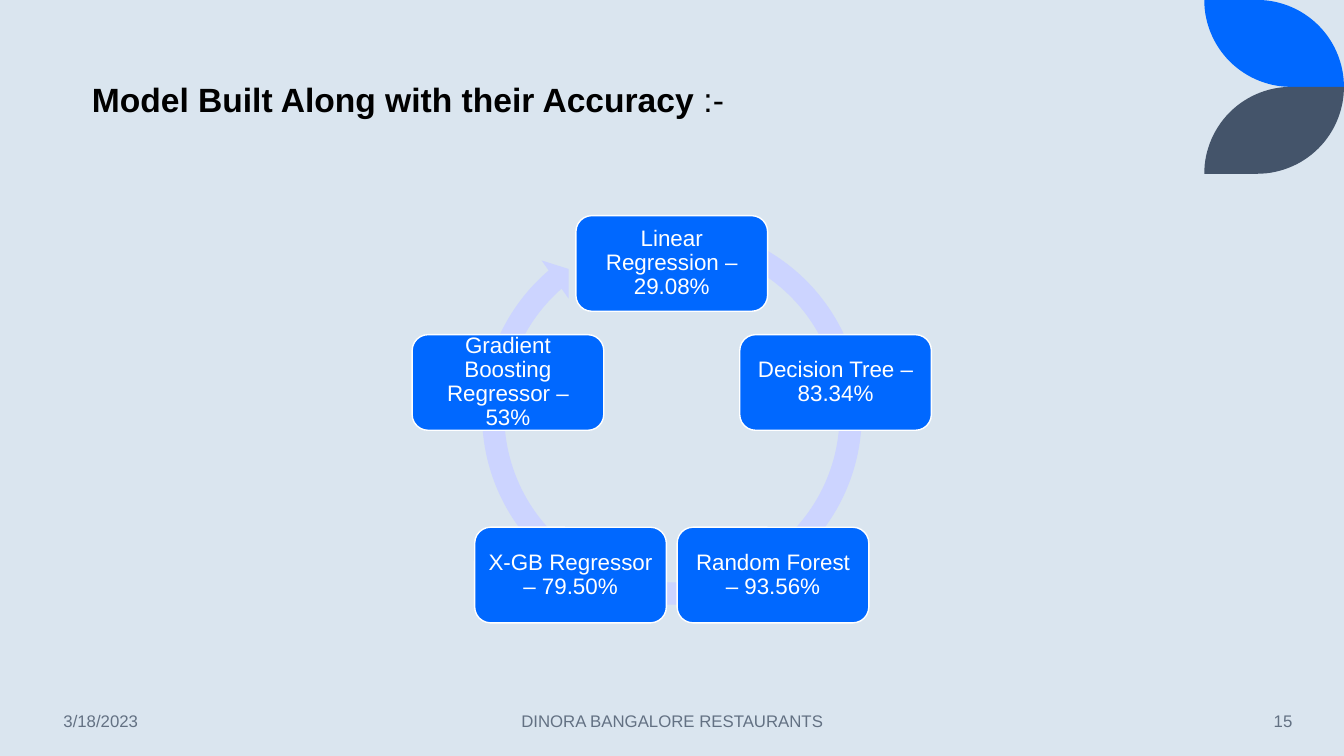
from dataclasses import dataclass
from math import cos, radians, sin

from pptx import Presentation
from pptx.dml.color import RGBColor
from pptx.enum.shapes import MSO_SHAPE as Shape
from pptx.enum.text import MSO_ANCHOR as Anchor, MSO_AUTO_SIZE as AutoSize, PP_ALIGN as Align
from pptx.util import Cm, Pt


@dataclass(frozen=True)
class Theme:
    font: str = "Arial"
    background: str = "DAE5EF"
    blue: str = "0068FF"
    slate: str = "44546A"
    ring: str = "CCD4FF"
    white: str = "FFFFFF"
    black: str = "000000"
    muted: str = "637183"
    title_size: int = 24
    node_size: int = 16
    footer_size: int = 12


theme = Theme()


def write(box, text, *, size, color, bold=False, align=Align.LEFT,
          anchor=Anchor.MIDDLE, spacing=1.0):
    """Append a formatted span to the first paragraph of the box."""
    frame = box.text_frame
    frame.word_wrap = True
    frame.vertical_anchor = anchor
    para = frame.paragraphs[0]
    para.alignment = align
    para.line_spacing = spacing
    span = para.add_run()
    span.text = text
    span.font.name = theme.font
    span.font.size = Pt(size)
    span.font.bold = bold
    span.font.color.rgb = RGBColor.from_string(color)


def paint(shape, color):
    shape.shadow.inherit = False
    shape.fill.solid()
    shape.fill.fore_color.rgb = RGBColor.from_string(color)
    shape.line.fill.background()


deck = Presentation()
deck.slide_width, deck.slide_height = Cm(33.87), Cm(19.05)
page = deck.slides.add_slide(deck.slide_layouts[5])
page.background.fill.solid()
page.background.fill.fore_color.rgb = RGBColor.from_string(theme.background)

# Corner leaves: two quarter circles each, the lower leaf mirroring the upper
radius = 2.19
quarter = range(0, 91, 3)
leaf = [(31.68 + radius * sin(radians(a)), radius - radius * cos(radians(a))) for a in quarter]
leaf += [(32.54 - radius * sin(radians(a)), radius * cos(radians(a))) for a in quarter]
for color, mirrored in ((theme.blue, False), (theme.slate, True)):
    points = [(Cm(x), Cm(2 * radius - y if mirrored else y)) for x, y in leaf]
    builder = page.shapes.build_freeform(*points[0])
    builder.add_line_segments(points[1:], close=True)
    paint(builder.convert_to_shape(), color)

# Cycle: a circular arrow behind five nodes on a regular pentagon
ring = page.shapes.add_shape(Shape.CIRCULAR_ARROW, Cm(11.84), Cm(5.36), Cm(10.19), Cm(10.19))
for index, value in enumerate((0.055, 3.307, 137.511, 174.011, 0.058)):
    ring.adjustments[index] = value
paint(ring, theme.ring)

models = (
    "Linear Regression – 29.08%",
    "Decision Tree – 83.34%",
    "Random Forest – 93.56%",
    "X-GB Regressor – 79.50%",
    "Gradient Boosting Regressor – 53%",
)
center_x, center_y, cycle_radius = 16.93, 10.98, 4.34
node_width, node_height = 4.83, 2.41
for index, model in enumerate(models):
    angle = radians(index * 360 / len(models))
    left = center_x + cycle_radius * sin(angle) - node_width / 2
    top = center_y - cycle_radius * cos(angle) - node_height / 2
    node = page.shapes.add_shape(Shape.ROUNDED_RECTANGLE, Cm(left), Cm(top),
                                 Cm(node_width), Cm(node_height))
    paint(node, theme.blue)
    node.line.color.rgb = RGBColor.from_string(theme.white)
    node.line.width = Pt(1)
    frame = node.text_frame
    frame.margin_left = frame.margin_right = Cm(0.17)
    frame.margin_top = frame.margin_bottom = Cm(0.17)
    write(node, model, size=theme.node_size, color=theme.white, align=Align.CENTER, spacing=0.9)

title = page.shapes.title
title.left, title.top, title.width, title.height = Cm(2.06), Cm(1.85), Cm(20.8), Cm(1.27)
title.text_frame.auto_size = AutoSize.SHAPE_TO_FIT_TEXT
for text, bold in (("Model Built Along with their Accuracy ", True), (":-", False)):
    write(title, text, size=theme.title_size, color=theme.black, bold=bold, anchor=Anchor.TOP)

footers = (
    ("3/18/2023", 1.35, 4.72, Align.LEFT),
    ("DINORA BANGALORE RESTAURANTS", 11.23, 11.43, Align.CENTER),
    ("15", 28.22, 4.6, Align.RIGHT),
)
for text, left, width, align in footers:
    footer = page.shapes.add_textbox(Cm(left), Cm(17.65), Cm(width), Cm(1.02))
    write(footer, text, size=theme.footer_size, color=theme.muted, align=align)

deck.save("out.pptx")
